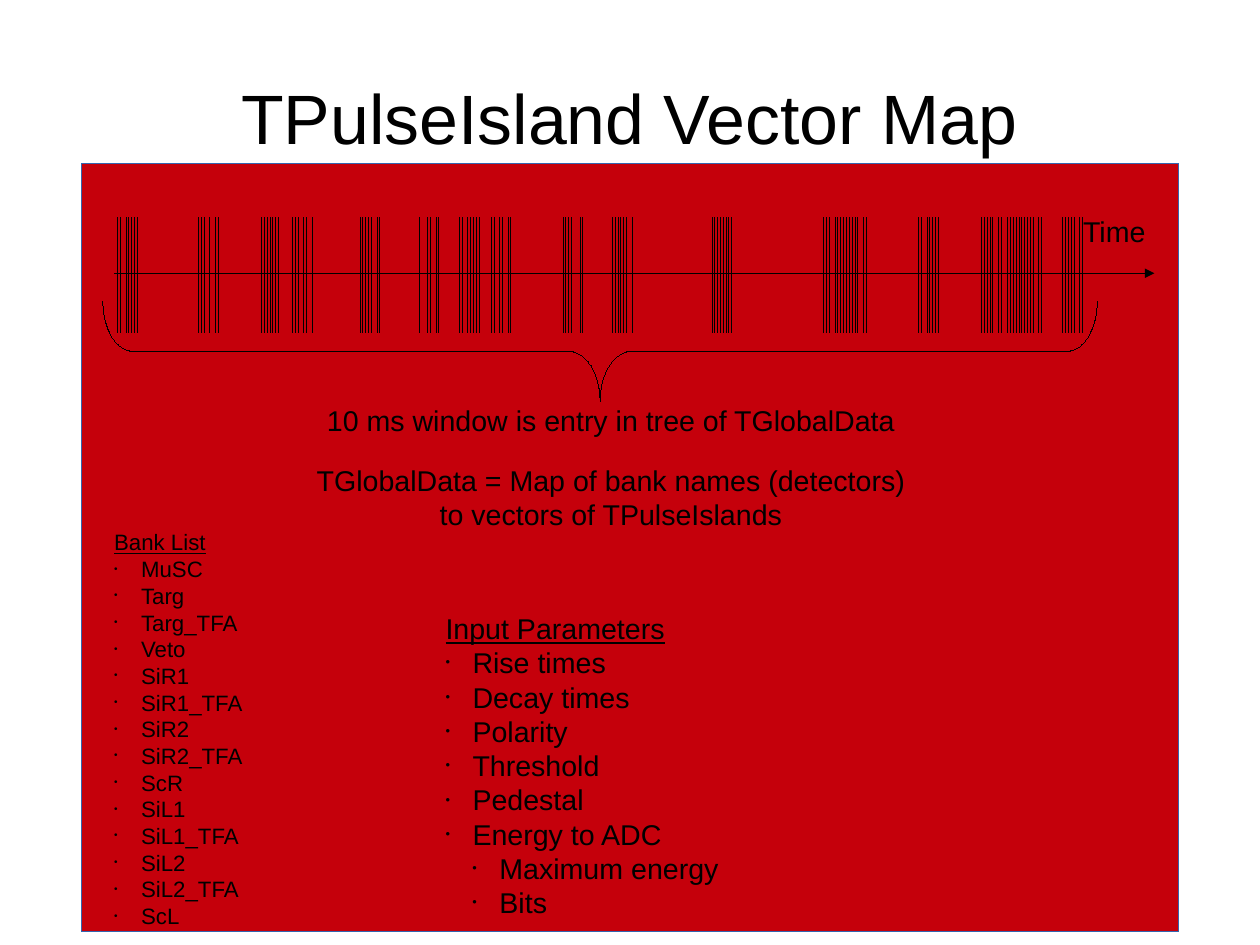
from dataclasses import dataclass

from lxml import etree
from pptx import Presentation
from pptx.dml.color import RGBColor
from pptx.enum.shapes import MSO_CONNECTOR, MSO_SHAPE
from pptx.enum.text import MSO_ANCHOR, PP_ALIGN
from pptx.oxml.ns import qn
from pptx.util import Pt

STRAIGHT = MSO_CONNECTOR.STRAIGHT
RECTANGLE = MSO_SHAPE.RECTANGLE
RIGHT_BRACE = MSO_SHAPE.RIGHT_BRACE
MIDDLE, TOP = MSO_ANCHOR.MIDDLE, MSO_ANCHOR.TOP
CENTER, LEFT = PP_ALIGN.CENTER, PP_ALIGN.LEFT


@dataclass(frozen=True)
class Theme:
    """Colours and type of the slide."""
    ink: RGBColor = RGBColor(0, 0, 0)
    panel: RGBColor = RGBColor(0xC5, 0x00, 0x0B)
    panel_line: RGBColor = RGBColor(0x34, 0x65, 0xAF)
    font: str = "Arial"
    title: int = 44
    body: int = 18
    small: int = 14
    bullet_percent: int = 45
    indent: float = 17.0


THEME = Theme()

PULSE_STEP = 1.77
PULSE_CLUSTERS = [
    (2.1, "0134567"), (53.2, "012467"), (92.8, "0123456"),
    (112.4, "012457"), (154.9, "0123467"), (192.1, "03467"),
    (217.5, "0134567"), (237.5, "013467"), (282.8, "012367"),
    (313.8, "0123457"), (376.6, "01234567"), (447, "0124567"),
    (461.4, "0123467"), (506.8, "0134567"), (546.4, "0123467"),
    (563, "0123467"), (571.7, "023467"), (597.6, "0123467"),
]
BANKS = ["MuSC", "Targ", "Targ_TFA", "Veto", "SiR1", "SiR1_TFA", "SiR2", "SiR2_TFA",
         "ScR", "SiL1", "SiL1_TFA", "SiL2", "SiL2_TFA", "ScL"]
PARAMETERS = ["Rise times", "Decay times", "Polarity", "Threshold", "Pedestal", "Energy to ADC"]
ENERGY_PARAMETERS = ["Maximum energy", "Bits"]


def set_attributes(target, values):
    """Set each named attribute of the target."""
    for name, value in values.items():
        setattr(target, name, value)


def place(shape, box):
    """Move and size a shape to a box in points."""
    names = ("left", "top", "width", "height")
    set_attributes(shape, {name: Pt(length) for name, length in zip(names, box)})


def format_frame(frame, inset_x=7.2, inset_y=3.6, anchor=TOP):
    """Set the wrapping, insets and anchor of a text frame."""
    set_attributes(frame, {
        "word_wrap": True, "vertical_anchor": anchor,
        "margin_left": Pt(inset_x), "margin_right": Pt(inset_x),
        "margin_top": Pt(inset_y), "margin_bottom": Pt(inset_y),
    })


def format_hairline(line, color):
    """Colour a line and state its zero width, which overrides the theme's."""
    line.color.rgb = color
    line._get_or_add_ln().set("w", "0")


def write_paragraph(paragraph, text, size, align=LEFT, underline=None):
    """Write one formatted run into a paragraph."""
    paragraph.alignment = align
    run = paragraph.add_run()
    run.text = text
    set_attributes(run.font, {"name": THEME.font, "size": Pt(size), "underline": underline})
    run.font.color.rgb = THEME.ink


def add_bullet(paragraph, level):
    """Give a paragraph a small round bullet and a hanging indent."""
    paragraph.level = level
    properties = paragraph._p.get_or_add_pPr()
    properties.set("marL", str(Pt(THEME.indent * (level + 1))))
    properties.set("indent", str(-Pt(THEME.indent)))
    color = etree.SubElement(properties, qn("a:buClr"))
    etree.SubElement(color, qn("a:srgbClr"), val=str(THEME.ink))
    etree.SubElement(properties, qn("a:buSzPct"), val=str(THEME.bullet_percent * 1000))
    etree.SubElement(properties, qn("a:buFont"), typeface=THEME.font)
    etree.SubElement(properties, qn("a:buChar"), char="•")


def add_title(slide, box, text):
    """Place and write the slide title."""
    title = slide.shapes.title
    place(title, box)
    format_frame(title.text_frame, 0, 0, MIDDLE)
    write_paragraph(title.text_frame.paragraphs[0], text, THEME.title, CENTER)


def add_text(slide, box):
    """Add an empty wrapped text box and return its frame."""
    frame = slide.shapes.add_textbox(*map(Pt, box)).text_frame
    format_frame(frame)
    return frame


def add_caption(slide, box, text):
    """Add a centred line of body text."""
    write_paragraph(add_text(slide, box).paragraphs[0], text, THEME.body, CENTER)


def add_list(slide, box, heading, items, size):
    """Add an underlined heading over bulleted (text, level) items."""
    frame = add_text(slide, box)
    write_paragraph(frame.paragraphs[0], heading, size, underline=True)
    for text, level in items:
        paragraph = frame.add_paragraph()
        write_paragraph(paragraph, text, size)
        add_bullet(paragraph, level)


def add_line(slide, start, end, arrow=False):
    """Add a hairline, with an arrowhead at its end if asked."""
    connector = slide.shapes.add_connector(STRAIGHT, *map(Pt, start + end))
    format_hairline(connector.line, THEME.ink)
    if arrow:
        etree.SubElement(connector.line._get_or_add_ln(), qn("a:tailEnd"), type="triangle")
    etree.SubElement(connector._element.spPr, qn("a:effectLst"))


def add_panel(slide, box):
    """Add the red background panel."""
    panel = slide.shapes.add_shape(RECTANGLE, *map(Pt, box))
    panel.shadow.inherit = False
    panel.fill.solid()
    panel.fill.fore_color.rgb = THEME.panel
    format_hairline(panel.line, THEME.panel_line)


def add_brace(slide, box):
    """Add a brace lying on its side that points down and fills the box."""
    left, top, width, height = box
    shift = (width - height) / 2
    brace = slide.shapes.add_shape(
        RIGHT_BRACE, Pt(left + shift), Pt(top - shift), Pt(height), Pt(width))
    brace.rotation = 90
    brace.adjustments[0] = 0.31
    brace.shadow.inherit = False
    brace.fill.background()
    format_hairline(brace.line, THEME.ink)


def add_timeline(slide, box):
    """Add the time axis, its pulses and the brace below them."""
    left, top, width, height = box
    axis = top + 35.3
    add_line(slide, (left, axis), (left + width, axis), arrow=True)
    add_caption(slide, (left + width - 57.6, top - 5.4, 64.8, 27.4), "Time")
    for start, slots in PULSE_CLUSTERS:
        for slot in slots:
            pulse = left + start + int(slot) * PULSE_STEP
            add_line(slide, (pulse, top), (pulse, top + height))
    add_brace(slide, (left - 7.2, top + 53.3, 626.4, 62.6))


def add_vector_map(slide, box):
    """Add the panel with the timeline, captions and lists."""
    left, top, _, _ = box
    add_panel(slide, box)
    add_timeline(slide, (left + 20.9, top + 33.8, 655.2, 72.7))
    add_caption(slide, (left + 135.4, top + 147.4, 396.7, 27.4),
                "10 ms window is entry in tree of TGlobalData")
    add_caption(slide, (left + 135.4, top + 184.8, 396.7, 47.5),
                "TGlobalData = Map of bank names (detectors) to vectors of TPulseIslands")
    add_list(slide, (left + 13.7, top + 226.5, 216, 243.4), "Bank List",
             [(bank, 0) for bank in BANKS], THEME.small)
    add_list(slide, (left + 222.5, top + 278.3, 288, 188.6), "Input Parameters",
             [(name, 0) for name in PARAMETERS] + [(name, 1) for name in ENERGY_PARAMETERS],
             THEME.body)


def main():
    """Build the slide and save it."""
    presentation = Presentation()
    set_attributes(presentation, {"slide_width": Pt(793.75), "slide_height": Pt(595.25)})
    slide = presentation.slides.add_slide(presentation.slide_layouts[5])
    add_title(slide, (39.6, 23.8, 714.2, 99.4), "TPulseIsland Vector Map")
    add_vector_map(slide, (51.1, 103, 691.2, 483.8))
    presentation.save("out.pptx")


if __name__ == "__main__":
    main()
